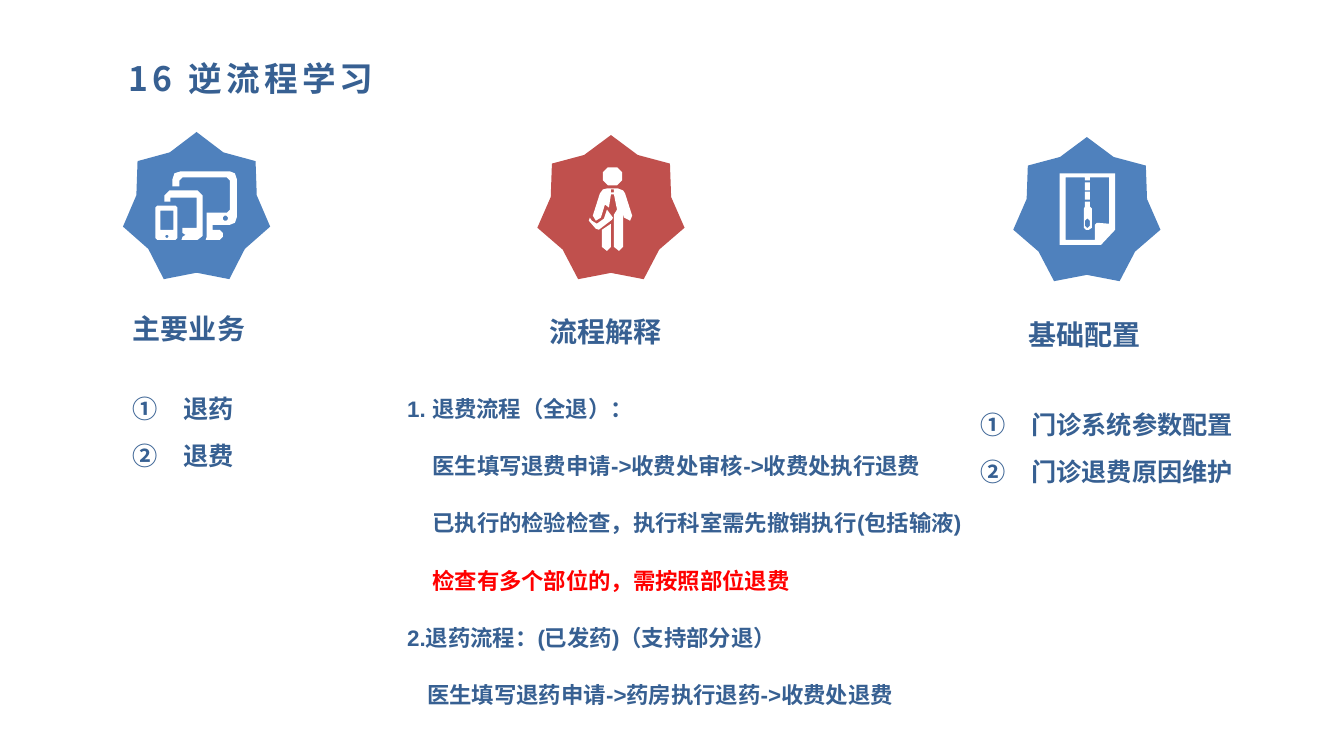
from lxml.etree import SubElement
from pptx import Presentation
from pptx.dml.color import RGBColor
from pptx.enum.shapes import MSO_SHAPE as Kind
from pptx.enum.text import MSO_AUTO_SIZE as Fit, PP_ALIGN as Align
from pptx.oxml.ns import qn
from pptx.util import Inches, Pt

COLORS = {"navy": "376092", "blue": "4F81BD", "brick": "C0504D", "red": "FF0000", "white": "FFFFFF"}
SANS, LATIN = "Noto Sans CJK SC", "Arial"


def tint(color):
    """Return the named colour."""
    return RGBColor.from_string(COLORS[color])


def paint(shape, color):
    """Give a shape a plain fill with no line or shadow."""
    shape.shadow.inherit = False
    shape.fill.solid()
    shape.fill.fore_color.rgb = tint(color)
    shape.line.fill.background()


def block(left, top, width, height, cut=0):
    """Return the outline of a rectangle, with its corners cut if asked."""
    right, low = left + width, top + height
    if not cut:
        return [(left, top), (right, top), (right, low), (left, low)]
    return [(left + cut, top), (right - cut, top), (right, top + cut), (right, low - cut),
            (right - cut, low), (left + cut, low), (left, low - cut), (left, top + cut)]


def dot(left, top, size):
    """Return the outline of a small dot."""
    return block(left, top, size, size, size * 0.3)


def write(slide, box, lines, size=18, font=SANS, gap=0, space=None, align=None,
          number=False, spread=0, wrap=True, grow=False):
    """Write lines, each a text or a (text, indent, colour) triple."""
    frame = slide.shapes.add_textbox(*map(Inches, box)).text_frame
    frame.word_wrap = wrap
    frame.auto_size = Fit.SHAPE_TO_FIT_TEXT if grow else Fit.NONE
    for i, line in enumerate(lines):
        text, indent, shade = line if isinstance(line, tuple) else (line, 0, "navy")
        para = frame.paragraphs[0] if i == 0 else frame.add_paragraph()
        para.alignment, para.line_spacing = align, space
        para.space_before, para.space_after = Pt(gap if i else 0), Pt(gap)
        props = para._p.get_or_add_pPr()
        if number:
            props.set("marL", str(Inches(0.5)))
            props.set("indent", str(Inches(-0.5)))
            SubElement(props, qn("a:buFont")).set("typeface", "+mj-lt")
            SubElement(props, qn("a:buAutoNum")).set("type", "circleNumDbPlain")
        elif indent:
            props.set("marL", str(Inches(indent)))
        run = para.add_run()
        run.text = text
        run.font.size, run.font.bold, run.font.name = Pt(size), True, font
        run.font.color.rgb = tint(shade)
        style = run._r.get_or_add_rPr()
        SubElement(style, qn("a:ea")).set("typeface", SANS)
        if spread:
            style.set("spc", str(spread * 100))


def badge(slide, box, color, icon):
    """Group a seven-point star with a white icon of one or more outlines."""
    group = slide.shapes.add_group_shape().shapes
    star = group.add_shape(Kind.STAR_7_POINT, *map(Inches, box))
    star.adjustments[0] = 0.409
    paint(star, color)
    loops = [[(Inches(box[0] + x), Inches(box[1] + y)) for x, y in loop] for loop in icon()]
    form = group.build_freeform(*loops[0][0], scale=1.0)
    form.add_line_segments(loops[0][1:], close=True)
    for loop in loops[1:]:
        form.move_to(*loop[0])
        form.add_line_segments(loop[1:], close=True)
    paint(form.convert_to_shape(), "white")


def screens():
    """Return the outlines of a monitor, a tablet and a phone."""
    tablet = [(0.46, 0.58), (0.74, 0.58), (0.79, 0.63), (0.79, 1.03), (0.74, 1.07),
              (0.58, 1.07), (0.59, 1.04), (0.62, 1.02), (0.59, 1), (0.59, 0.95),
              (0.73, 0.95), (0.73, 0.65), (0.47, 0.65), (0.47, 0.69), (0.41, 0.69),
              (0.41, 0.63)]
    monitor = [(0.57, 0.39), (1.06, 0.39), (1.11, 0.41), (1.13, 0.47), (1.13, 0.84),
               (1.11, 0.9), (1.06, 0.92), (0.89, 0.92), (0.89, 0.97), (0.96, 0.97),
               (0.99, 1), (0.99, 1.04), (0.96, 1.07), (0.82, 1.07), (0.83, 1.04),
               (0.83, 0.8), (1.03, 0.8), (1.06, 0.77), (1.06, 0.48), (1.03, 0.45),
               (0.59, 0.45), (0.56, 0.48), (0.56, 0.54), (0.49, 0.54), (0.49, 0.47),
               (0.51, 0.41)]
    return [block(0.32, 0.73, 0.22, 0.34, 0.02), block(0.37, 0.78, 0.13, 0.19),
            dot(0.42, 1.02, 0.03), tablet, monitor, dot(0.99, 0.83, 0.05)]


def clerk():
    """Return the outlines of a standing figure with a tie and a bag."""
    head = block(0.65, 0.32, 0.19, 0.18, 0.05)
    body = [(0.69, 0.53), (0.8, 0.53), (0.85, 0.55), (0.87, 0.58), (0.94, 0.8),
            (0.92, 0.85), (0.86, 0.82), (0.85, 0.78), (0.85, 1.11), (0.81, 1.15),
            (0.76, 1.11), (0.76, 0.85), (0.76, 0.79), (0.79, 0.74), (0.76, 0.59),
            (0.73, 0.59), (0.71, 0.72), (0.67, 0.69), (0.63, 0.82), (0.58, 0.85),
            (0.55, 0.8), (0.62, 0.58), (0.65, 0.54)]
    leg = [(0.73, 0.88), (0.73, 1.11), (0.69, 1.15), (0.64, 1.11), (0.64, 0.94)]
    bag = [(0.69, 0.74), (0.75, 0.82), (0.74, 0.84), (0.61, 0.94), (0.58, 0.93),
           (0.51, 0.85), (0.52, 0.82), (0.54, 0.85), (0.59, 0.88), (0.66, 0.83)]
    return [head, body, block(0.73, 0.54, 0.03, 0.03), leg, bag]


def report():
    """Return the outlines of a page with a folded corner and a gauge."""
    page = [(0.46, 0.36), (1.01, 0.36), (1.01, 0.92), (0.87, 1.07), (0.46, 1.07)]
    inner = [(0.52, 0.4), (0.71, 0.4), (0.71, 0.43), (0.76, 0.43), (0.76, 0.4),
             (0.95, 0.4), (0.95, 0.86), (0.83, 0.85), (0.81, 0.87), (0.81, 1.02),
             (0.52, 1.02)]
    gauge = [(0.71, 0.64), (0.76, 0.64), (0.76, 0.69), (0.78, 0.71), (0.78, 0.9),
             (0.75, 0.92), (0.72, 0.92), (0.7, 0.9), (0.7, 0.71), (0.71, 0.69)]
    marks = [block(0.71, top, 0.05, 0.08) for top in (0.45, 0.54)]
    return [page, inner, *marks, gauge, block(0.71, 0.81, 0.05, 0.09, 0.02)]


def title(slide, box):
    """Write the slide title."""
    write(slide, box, [("16 逆流程学习", 0.1, "navy")], size=24, spread=3)


def steps(slide, box):
    """Write the explanation of both processes."""
    write(slide, box, [
        "1. 退费流程（全退）：",
        ("医生填写退费申请->收费处审核->收费处执行退费", 0.25, "navy"),
        ("已执行的检验检查，执行科室需先撤销执行(包括输液)", 0.25, "navy"),
        ("检查有多个部位的，需按照部位退费", 0.25, "red"),
        "2.退药流程：(已发药)（支持部分退）",
        ("医生填写退药申请->药房执行退药->收费处退费", 0.2, "navy"),
    ], size=16, font=LATIN, gap=6, space=1.5, grow=True)


def main():
    """Build and save the slide."""
    deck = Presentation()
    deck.slide_width, deck.slide_height = Inches(13.33), Inches(7.5)
    slide = deck.slides.add_slide(deck.slide_layouts[6])
    title(slide, (1.08, 0.53, 10.21, 0.58))
    badge(slide, (1.22, 1.31, 1.46, 1.46), "blue", screens)
    badge(slide, (5.33, 1.34, 1.46, 1.43), "brick", clerk)
    badge(slide, (10.05, 1.36, 1.46, 1.43), "blue", report)
    for box, name in [((1.22, 3.04, 2.4, 0.38), "主要业务"),
                      ((5.35, 3.07, 2.16, 0.38), "流程解释"),
                      ((10.1, 3.1, 1.87, 0.4), "基础配置")]:
        write(slide, box, [name], size=20, wrap=False)
    write(slide, (1.22, 3.85, 2.76, 0.87), ["退药", "退费"], gap=6, number=True,
          align=Align.JUSTIFY, grow=True)
    write(slide, (9.63, 4.01, 2.86, 0.87), ["门诊系统参数配置", "门诊退费原因维护"],
          font=LATIN, gap=6, number=True, grow=True)
    steps(slide, (3.94, 3.74, 6.67, 3.37))
    deck.save("out.pptx")


if __name__ == "__main__":
    main()
